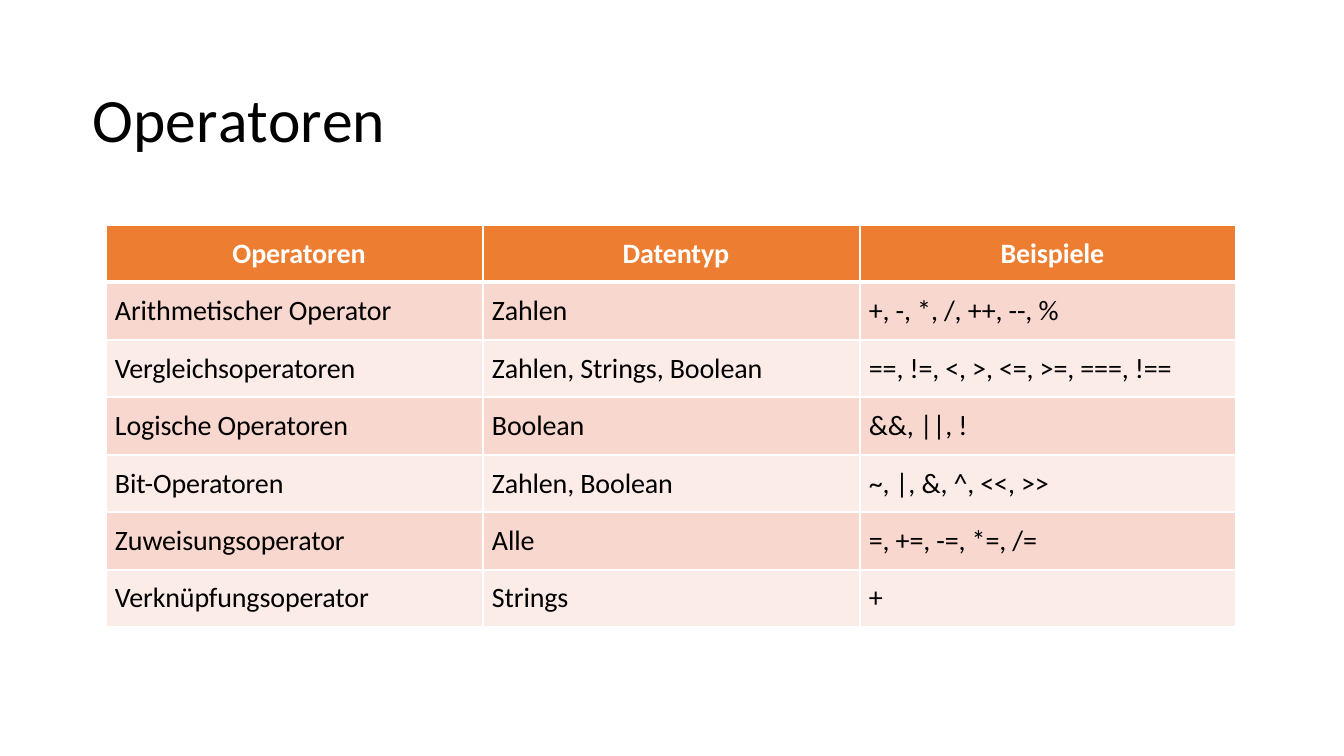
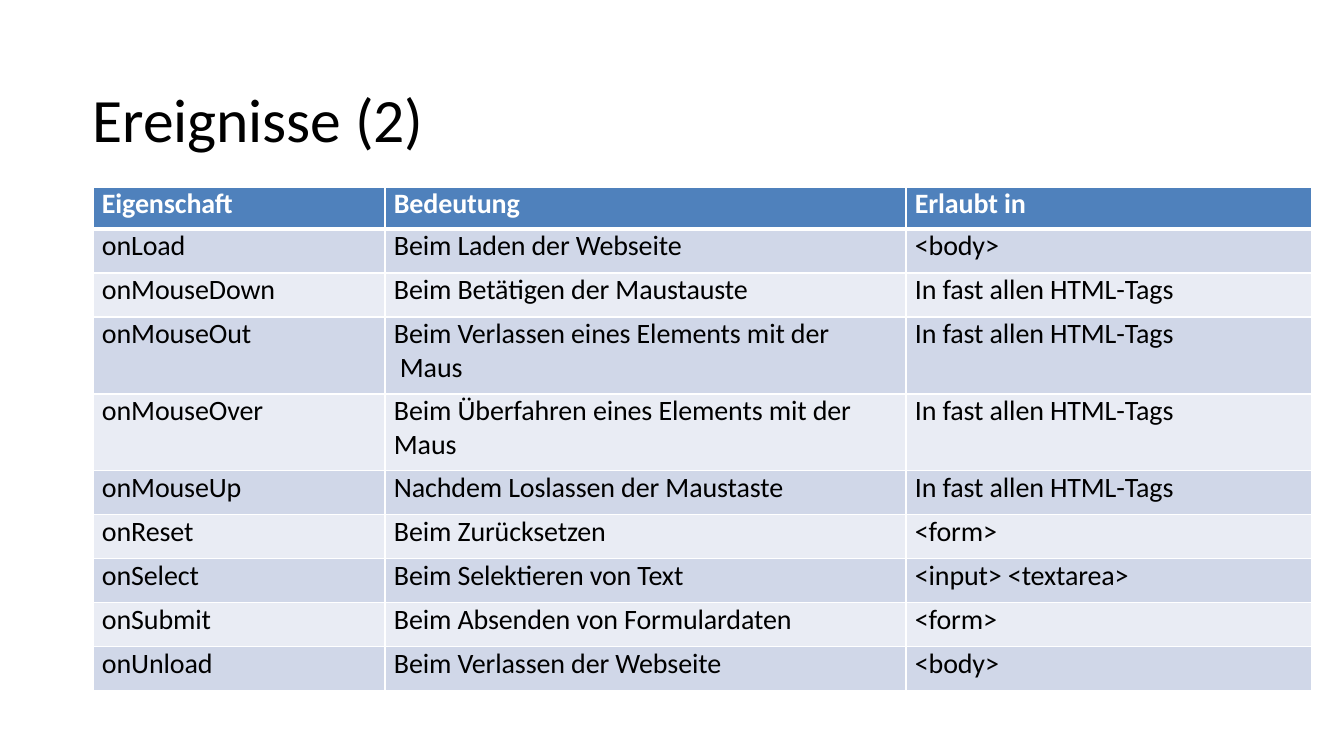
"""Two slides of tables: operators and events."""
from lxml import etree
from pptx import Presentation
from pptx import util as u
from pptx.dml.color import RGBColor
from pptx.enum import text
from pptx.oxml import ns

SCALE = 12192000 / 1344


def px(n):
    return u.Emu(round(n * SCALE))


def hue(code):
    return RGBColor.from_string(code)


class Deck:
    FONT, INK, PAPER = "Calibri", "000000", "FFFFFF"
    PAD = 9

    def __init__(self):
        self.prs = Presentation()
        self.prs.slide_width, self.prs.slide_height = px(1344), px(756)
        self.slide = None

    def run(self, para, words, size, color, bold=False, gap=-10):
        run = para.add_run()
        run.text = words
        font = run.font
        font.name, font.size, font.bold = self.FONT, u.Pt(size), bold
        font.color.rgb = hue(color)
        run._r.get_or_add_rPr().set("spc", str(gap))

    def page(self, title):
        self.slide = self.prs.slides.add_slide(self.prs.slide_layouts[6])
        box = self.slide.shapes.add_textbox(px(93), px(50), px(1159), px(136))
        frame = box.text_frame
        frame.word_wrap = True
        frame.vertical_anchor = text.MSO_ANCHOR.MIDDLE
        frame.margin_left = frame.margin_right = 0
        frame.margin_top = frame.margin_bottom = 0
        for words, gap in title:
            self.run(frame.paragraphs[0], words, 44, self.INK, gap=gap)

    def edge(self, cell, side, width):
        line = etree.SubElement(cell._tc.get_or_add_tcPr(),
                                ns.qn("a:ln" + side), w=str(u.Pt(width)))
        fill = etree.SubElement(line, ns.qn("a:solidFill"))
        etree.SubElement(fill, ns.qn("a:srgbClr"), val=self.PAPER)

    def cell(self, cell, words, row, fill, anchor, align):
        head = row == 0
        for side in "LRTB":
            thick = (row, side) in ((0, "B"), (1, "T"))
            self.edge(cell, side, 3 if thick else 1)
        cell.fill.solid()
        cell.fill.fore_color.rgb = hue(fill)
        cell.vertical_anchor = anchor
        cell.margin_left = px(self.PAD)
        cell.margin_right = cell.margin_top = cell.margin_bottom = 0
        frame = cell.text_frame
        for i, line in enumerate(words.split("\n")):
            para = frame.add_paragraph() if i else frame.paragraphs[0]
            para.alignment = align if head else text.PP_ALIGN.LEFT
            self.run(para, line, 20, self.PAPER if head else self.INK, head)

    def table(self, left, top, cols, rows, data, fills, anchor, align):
        frame = self.slide.shapes.add_table(
            len(rows), len(cols), px(left), px(top),
            px(sum(cols)), px(sum(rows)))
        grid = frame.table
        for col, width in zip(grid.columns, cols):
            col.width = px(width)
        for row, height in zip(grid.rows, rows):
            row.height = px(height)
        top_fill, *bands = fills
        for r, line in enumerate(data):
            fill = bands[(r - 1) % 2] if r else top_fill
            for c, words in enumerate(line):
                self.cell(grid.cell(r, c), words, r, fill, anchor, align)
        return grid


OPS = [
    ("Operatoren", "Datentyp", "Beispiele"),
    ("Arithmetischer Operator", "Zahlen", "+, -, *, /, ++, --, %"),
    ("Vergleichsoperatoren", "Zahlen, Strings, Boolean",
     "==, !=, <, >, <=, >=, ===, !=="),
    ("Logische Operatoren", "Boolean", "&&, ||, !"),
    ("Bit-Operatoren", "Zahlen, Boolean", "~, |, &, ^, <<, >>"),
    ("Zuweisungsoperator", "Alle", "=, +=, -=, *=, /="),
    ("Verknüpfungsoperator", "Strings", "+"),
]
TAGS = "In fast allen HTML-Tags"
EVENTS = [
    ("Eigenschaft", "Bedeutung", "Erlaubt in"),
    ("onLoad", "Beim Laden der Webseite", "<body>"),
    ("onMouseDown", "Beim Betätigen der Maustauste", TAGS),
    ("onMouseOut", "Beim Verlassen eines Elements mit der\nMaus", TAGS),
    ("onMouseOver", "Beim Überfahren eines Elements mit der\nMaus", TAGS),
    ("onMouseUp", "Nachdem Loslassen der Maustaste", TAGS),
    ("onReset", "Beim Zurücksetzen", "<form>"),
    ("onSelect", "Beim Selektieren von Text", "<input> <textarea>"),
    ("onSubmit", "Beim Absenden von Formulardaten", "<form>"),
    ("onUnload", "Beim Verlassen der Webseite", "<body>"),
]


def main():
    deck = Deck()
    deck.page([("Ope", -10), ("r", -80), ("a", -20), ("t", -30),
               ("o", -10), ("r", -50), ("en", -10)])
    deck.table(106, 225, [377, 377, 376], [57, 58] * 3 + [57], OPS,
               ("ED7D31", "F8D7CE", "FCECE8"),
               text.MSO_ANCHOR.MIDDLE, text.PP_ALIGN.CENTER)

    deck.page([("Ereignisse (2)", -10)])
    rows = [42] + [44] * 2 + [77] * 2 + [44] * 5
    grid = deck.table(93, 187, [292, 521, 406], rows, EVENTS,
                      ("4F81BC", "D0D7E8", "E9ECF4"),
                      text.MSO_ANCHOR.TOP, text.PP_ALIGN.LEFT)
    last = grid.cell(3, 1).text_frame.paragraphs[1]
    last._p.get_or_add_pPr().set("marL", str(px(6)))
    deck.prs.save("out.pptx")


if __name__ == "__main__":
    main()
